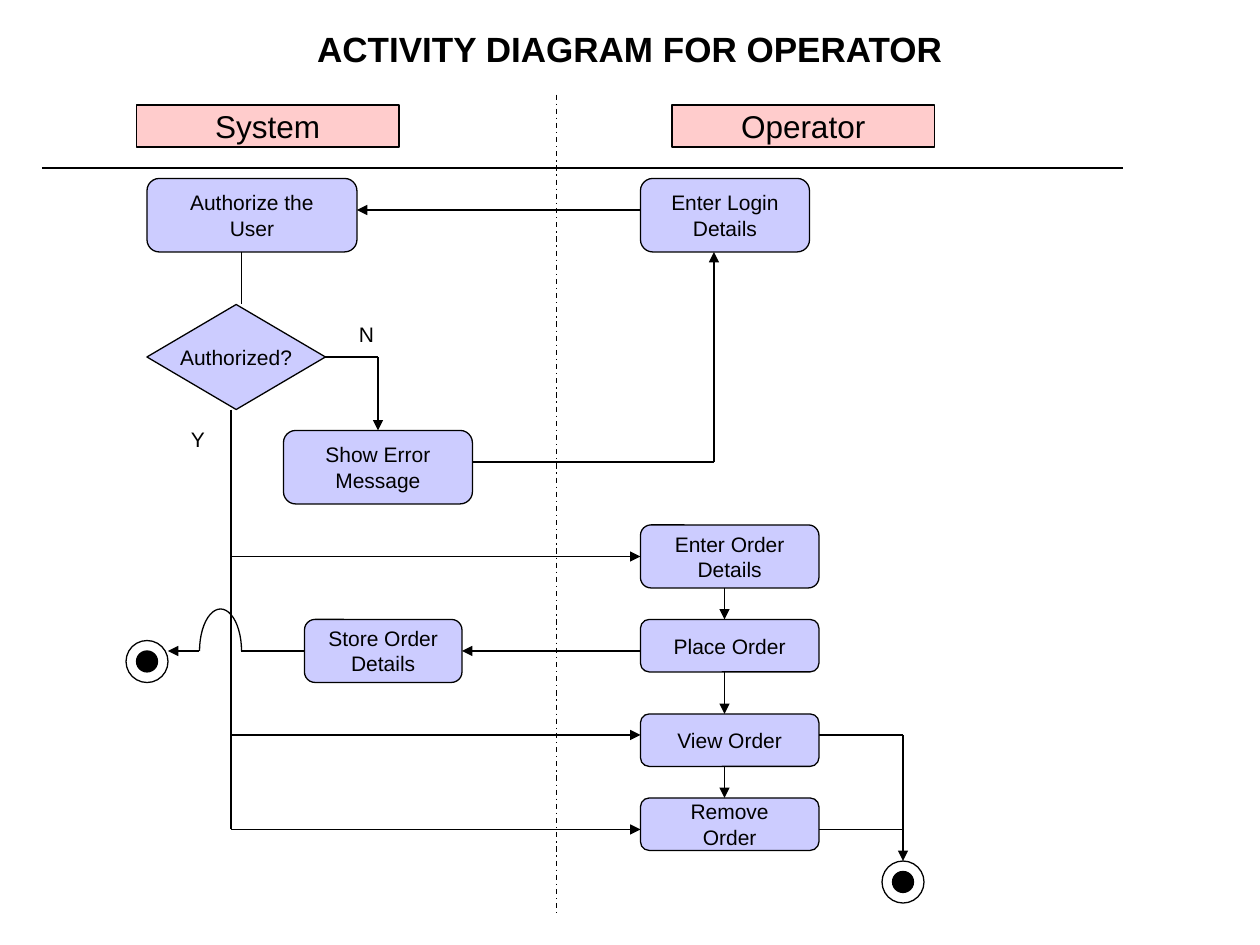
from dataclasses import dataclass
from itertools import pairwise
from lxml.etree import SubElement as Sub
from pptx import Presentation
from pptx.dml.color import RGBColor as Rgb
from pptx.enum.dml import MSO_LINE as Dash
from pptx.enum.shapes import MSO_CONNECTOR as Wire, MSO_SHAPE as Kind
from pptx.enum.text import MSO_ANCHOR as Anchor, PP_ALIGN as Align
from pptx.oxml.ns import qn
from pptx.util import Inches, Pt


@dataclass(frozen=True)
class Theme:
    """Colours, font and sizes of the slide."""
    ink: Rgb = Rgb(0, 0, 0)
    paper: Rgb = Rgb(255, 255, 255)
    step: Rgb = Rgb(204, 204, 255)
    head: Rgb = Rgb(255, 204, 204)
    face: str = "Arial"
    title: int = 20
    lane: int = 18
    body: int = 12
    line: float = 0.74


look = Theme()


def cell(n):
    """Turn grid columns or rows, twelve to the inch, into a length."""
    return Inches(n / 12)


def shift(box, part):
    """Move a part given relative to a box onto the slide grid."""
    return (box[0] + part[0], box[1] + part[1], *part[2:])


def write(frame, text, size, align=Align.LEFT, bold=False):
    """Fill a text frame in the theme font."""
    frame.text = text
    for para in frame.paragraphs:
        para.alignment = align
        font = para.font
        font.name, font.size, font.bold = look.face, Pt(size), bold
        font.color.rgb = look.ink


def block(slide, kind, box, fill=None, text="", size=look.body):
    """Draw an outlined shape, with centred text if given."""
    shape = slide.shapes.add_shape(kind, *map(cell, box))
    shape.shadow.inherit = False
    if fill is None:
        shape.fill.background()
    else:
        shape.fill.solid()
        shape.fill.fore_color.rgb = fill
    shape.line.color.rgb = look.ink
    shape.line.width = Pt(look.line)
    if text:
        frame = shape.text_frame
        frame.word_wrap = False
        frame.vertical_anchor = Anchor.MIDDLE
        write(frame, text, size, Align.CENTER)
    return shape


def label(slide, box, text):
    """Place a branch label."""
    frame = slide.shapes.add_textbox(*map(cell, box)).text_frame
    frame.word_wrap = True
    write(frame, text, look.body)


def flow(slide, box, points, head=True, dash=None):
    """Join points with straight lines, with an arrowhead on the last."""
    spots = [shift(box, point) for point in points]
    for start, end in pairwise(spots):
        wire = slide.shapes.add_connector(Wire.STRAIGHT, *map(cell, start + end))
        wire.line.color.rgb = look.ink
        wire.line.width = Pt(look.line)
        if dash is not None:
            wire.line.dash_style = dash
        if head and end == spots[-1]:
            Sub(wire.line._get_or_add_ln(), qn("a:tailEnd"), type="triangle")
        Sub(wire._element.spPr, qn("a:effectLst"))


def title(slide, box, text):
    """Set the slide title in its placeholder."""
    shape = slide.shapes.title
    shape.left, shape.top, shape.width, shape.height = map(cell, box)
    frame = shape.text_frame
    frame.word_wrap = True
    frame.vertical_anchor = Anchor.TOP
    write(frame, text, look.title, bold=True)


def lane(slide, box, name, left, steps, final):
    """Draw a lane's header, its steps and its end mark."""
    block(slide, Kind.RECTANGLE, shift(box, (left, 1, 25, 4)), look.head, name, look.lane)
    for text, kind, part in steps:
        block(slide, kind, shift(box, part), look.step, text)
    col, row = final
    block(slide, Kind.OVAL, shift(box, (col, row, 4, 4)), look.paper)
    block(slide, Kind.OVAL, shift(box, (col + 1, row + 1, 2, 2)), look.ink)


def links(slide, box):
    """Draw the dividers, the flows and the branch labels."""
    flow(slide, box, [(49, 0), (49, 78)], False, Dash.DASH_DOT)
    for points in (
        [(0, 7), (103, 7)],
        [(19, 15), (19, 20)],
        [(25, 53), (19, 53)],
        [(74, 70), (82, 70)],
    ):
        flow(slide, box, points, False)
    for points in (
        [(57, 11), (30, 11)],
        [(27, 25), (32, 25), (32, 32)],
        [(41, 35), (64, 35), (64, 15)],
        [(18, 30), (18, 70), (57, 70)],
        [(18, 61), (57, 61)],
        [(18, 44), (57, 44)],
        [(57, 53), (40, 53)],
        [(15, 53), (12, 53)],
        [(74, 61), (82, 61), (82, 73)],
        [(65, 47), (65, 50)],
        [(65, 55), (65, 59)],
        [(65, 64), (65, 67)],
    ):
        flow(slide, box, points)
    hop = block(slide, Kind.ARC, shift(box, (15, 49, 4, 8)))
    hop.adjustments[0], hop.adjustments[1] = 108, 0
    for text, col, row in (("N", 29, 21), ("Y", 13, 31)):
        label(slide, shift(box, (col, row, 4, 3.6)), text)


def build():
    """Build the slide and save it."""
    deck = Presentation()
    deck.slide_width, deck.slide_height = Inches(10), Inches(7.5)
    slide = deck.slides.add_slide(deck.slide_layouts[5])
    card = Kind.ROUNDED_RECTANGLE
    title(slide, (29, 2, 63, 5.3), "ACTIVITY DIAGRAM FOR OPERATOR")
    lane(slide, (4, 9), "System", 9, [
        ("Authorize the\nUser", card, (10, 8, 20, 7)),
        ("Authorized?", Kind.DIAMOND, (10, 20, 17, 10)),
        ("Show Error\nMessage", card, (23, 32, 18, 7)),
        ("Store Order\nDetails", card, (25, 50, 15, 6)),
    ], (8, 52))
    lane(slide, (53, 9), "Operator", 11, [
        ("Enter Login\nDetails", card, (8, 8, 16.1, 7)),
        ("Enter Order\nDetails", card, (8, 41, 17, 6)),
        ("Place Order", card, (8, 50, 17, 5)),
        ("View Order", card, (8, 59, 17, 5)),
        ("Remove\nOrder", card, (8, 67, 17, 5)),
    ], (31, 73))
    links(slide, (4, 9))
    deck.save("out.pptx")


build()
